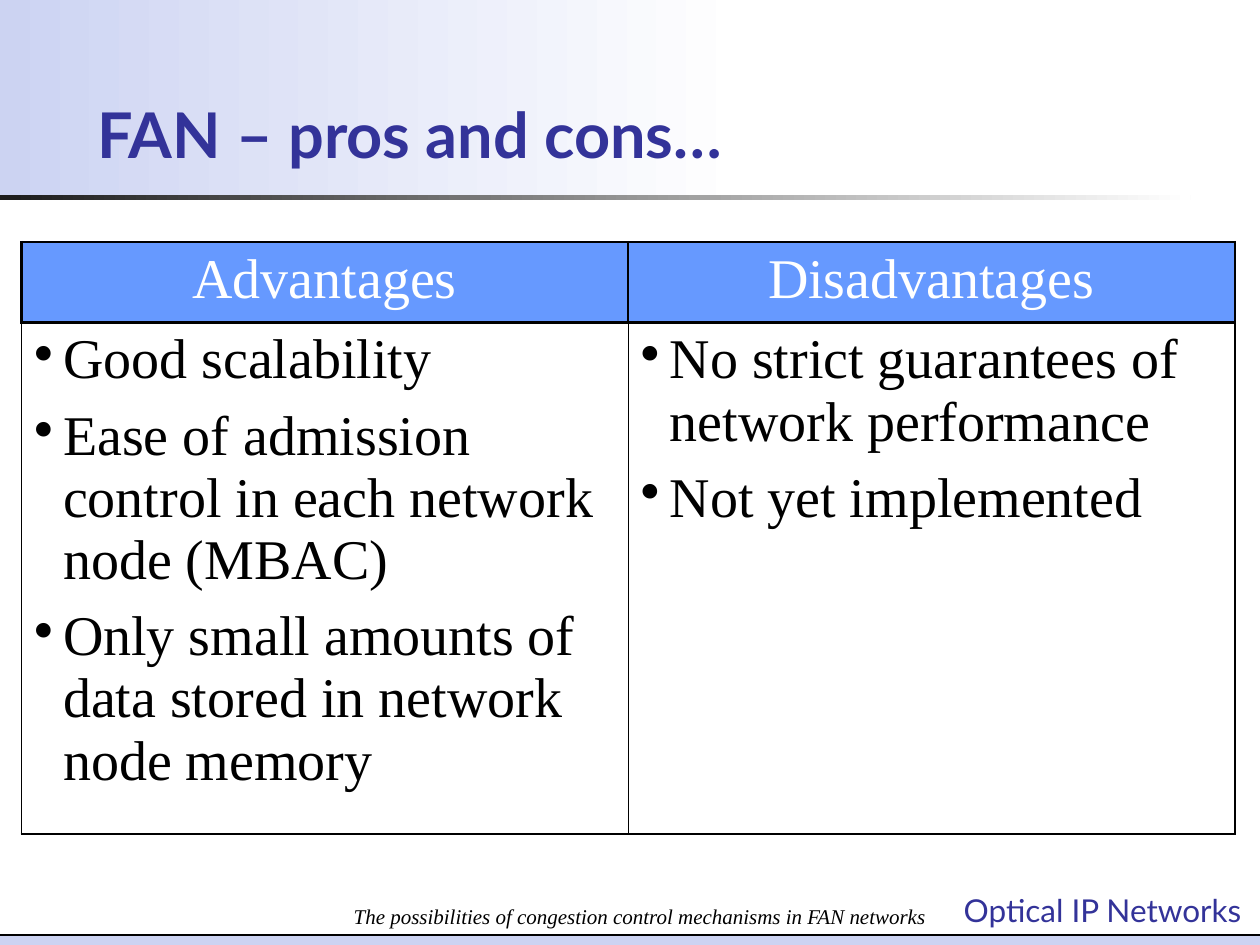
import pptx
import pptx.util
import pptx.dml.color
import pptx.enum.shapes
import pptx.enum.text
import pptx.oxml
import pptx.oxml.ns
from pptx.util import Inches, Pt

SERIF, SANS = "Times New Roman", "Lato"
ALIGN = pptx.enum.text.PP_ALIGN
ANCHOR = pptx.enum.text.MSO_ANCHOR
HEADS = ["Advantages", "Disadvantages"]
POINTS = [
    ["Good scalability",
     "Ease of admission control in each network node (MBAC)",
     "Only small amounts of data stored in network node memory"],
    ["No strict guarantees of network performance",
     "Not yet implemented"],
]


def color(code):
    return pptx.dml.color.RGBColor.from_string(code)


def style(para, face, size, tint, bold=False, italic=False):
    for run in para.runs:
        font = run.font
        font.name, font.size = face, Pt(size)
        font.bold, font.italic = bold, italic
        font.color.rgb = color(tint)


def add_child(parent, tag, **attrs):
    child = pptx.oxml.parse_xml(f"<a:{tag} {pptx.oxml.ns.nsdecls('a')}/>")
    for key, value in attrs.items():
        child.set(key, str(value))
    parent.append(child)
    return child


def add_bar(slide, left, top, width, height, start, end=None):
    """Borderless band, fading from start to end when end is given."""
    bar = slide.shapes.add_shape(pptx.enum.shapes.MSO_SHAPE.RECTANGLE,
                                 left, top, width, height)
    bar.shadow.inherit = False
    bar.line.fill.background()
    if end:
        bar.fill.gradient()
        bar.fill.gradient_angle = 0
        for stop, tint in zip(bar.fill.gradient_stops, (start, end)):
            stop.color.rgb = color(tint)
    else:
        bar.fill.solid()
        bar.fill.fore_color.rgb = color(start)


def add_text(slide, left, top, width, height, text, wrap):
    box = slide.shapes.add_textbox(left, top, width, height)
    box.text_frame.word_wrap = wrap
    box.text_frame.text = text
    return box.text_frame


def add_header(slide, left, top, width):
    add_bar(slide, left, top, Inches(5.92), Inches(1.58), "CCD3F2", "FFFFFF")
    add_bar(slide, left, top + Inches(1.55), width - Inches(0.55),
            Inches(0.04), "1C1C1C", "FFFFFF")
    title = slide.shapes.title
    slide.shapes.element.append(title.element)  # in front of the bands
    title.left, title.top = left + Inches(0.67), top + Inches(0.11)
    title.width, title.height = Inches(7.75), Inches(1.3)
    frame = title.text_frame
    frame.text = "FAN – pros and cons…"
    frame.vertical_anchor = ANCHOR.BOTTOM
    frame.auto_size = pptx.enum.text.MSO_AUTO_SIZE.NONE
    frame.paragraphs[0].alignment = ALIGN.LEFT
    style(frame.paragraphs[0], SANS, 36, "333399", bold=True)


def set_borders(cell, **widths):
    props = cell._tc.get_or_add_tcPr()
    for side in "LRTB":
        line = add_child(props, "ln" + side, w=Pt(widths[side]))
        add_child(add_child(line, "solidFill"), "srgbClr", val="000000")


def fill_cell(cell, lines, tint, back, bullets):
    cell.fill.solid()
    cell.fill.fore_color.rgb = color(back)
    cell.text_frame.text = "\n".join(lines)
    for i, para in enumerate(cell.text_frame.paragraphs):
        if bullets:
            props = para._p.get_or_add_pPr()
            props.set("marL", str(Inches(0.23)))
            props.set("indent", str(-Inches(0.23)))
            add_child(props, "buChar", char="•")
        else:
            para.alignment = ALIGN.CENTER
        if i:
            para.space_before = Pt(8)
        style(para, SERIF, 32, tint)


def add_grid(slide, left, top, width, height):
    table = slide.shapes.add_table(2, 2, left, top, width, height).table
    table.rows[0].height = Inches(0.64)
    table.rows[1].height = height - Inches(0.64)
    for col, (head, points) in enumerate(zip(HEADS, POINTS)):
        top_cell, low_cell = table.cell(0, col), table.cell(1, col)
        set_borders(top_cell, L=1.47, R=1.47, T=1.47, B=1.47)
        fill_cell(top_cell, [head], "FFFFFF", "6699FF", False)
        outer, inner = 1.08, 0.45
        set_borders(low_cell, L=inner if col else outer,
                    R=outer if col else inner, T=1.47, B=outer)
        fill_cell(low_cell, points, "000000", "FFFFFF", True)


def add_footer(slide, left, top, width, height):
    """Band and rule at the foot, with the two captions above them."""
    add_bar(slide, left, top, width, height, "CCD3F2")
    rule = slide.shapes.add_connector(
        pptx.enum.shapes.MSO_CONNECTOR.STRAIGHT, left, top, left + width, top)
    rule.line.width = Pt(0.75)
    rule.line.color.rgb = color("000000")
    add_child(rule.element.spPr, "effectLst")
    mark = add_text(slide, left + Inches(7.55), top - Inches(0.4),
                    Inches(2.52), Inches(0.4), "Optical IP Networks", False)
    style(mark.paragraphs[0], SANS, 18, "333399")
    note = add_text(
        slide, left + Inches(2.48), top - Inches(0.5), Inches(5.2), Inches(0.5),
        "The possibilities of congestion control mechanisms in FAN networks",
        True)
    note.vertical_anchor = ANCHOR.BOTTOM
    note.paragraphs[0].alignment = ALIGN.CENTER
    style(note.paragraphs[0], SERIF, 12, "000000", italic=True)


def main():
    deck = pptx.Presentation()
    deck.slide_width, deck.slide_height = Inches(10), Inches(7.5)
    slide = deck.slides.add_slide(deck.slide_layouts[5])
    add_header(slide, 0, 0, deck.slide_width)
    add_grid(slide, Inches(0.17), Inches(1.92), Inches(9.63), Inches(4.7))
    add_footer(slide, 0, Inches(7.42), deck.slide_width, Inches(0.08))
    deck.save("out.pptx")


if __name__ == "__main__":
    main()
